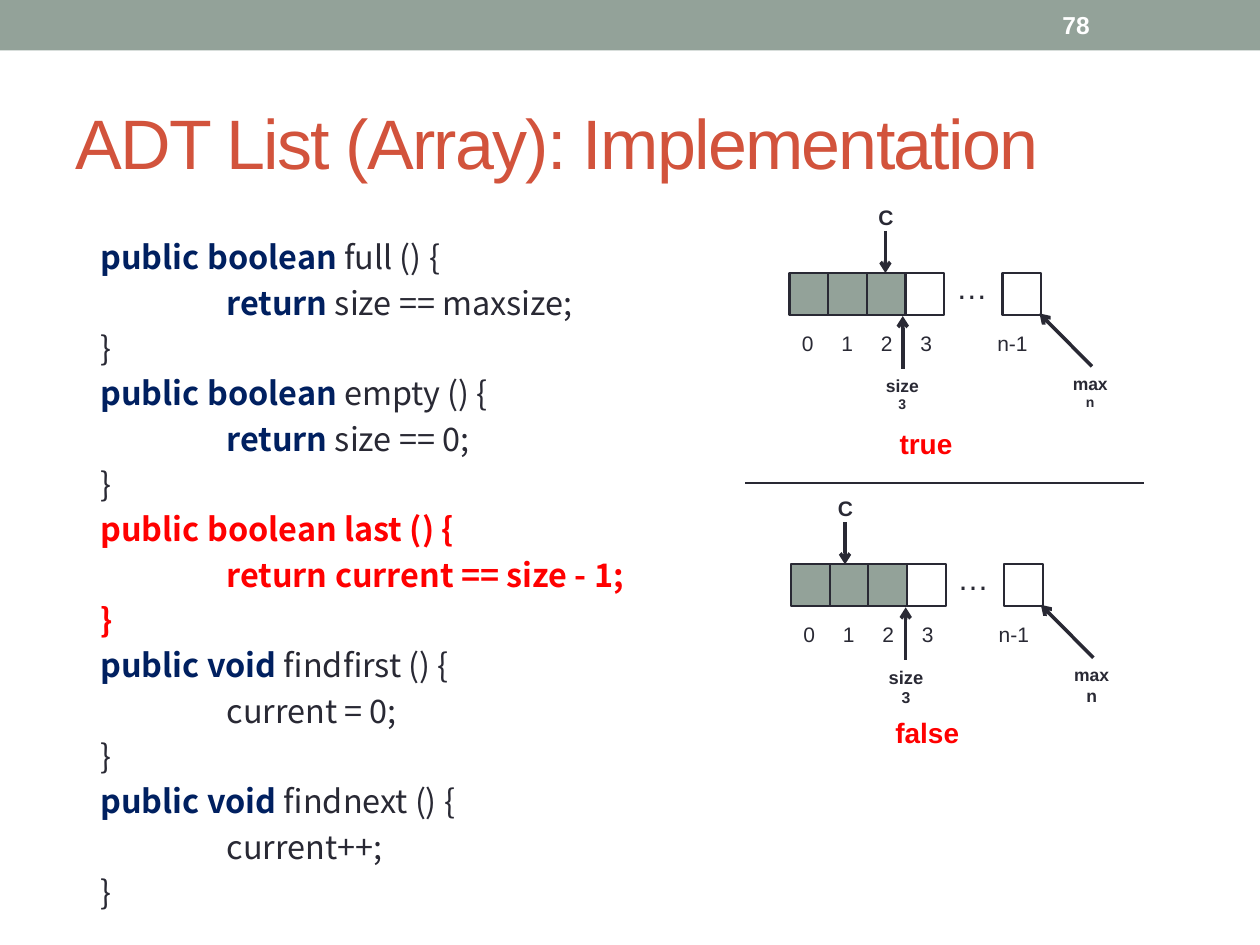
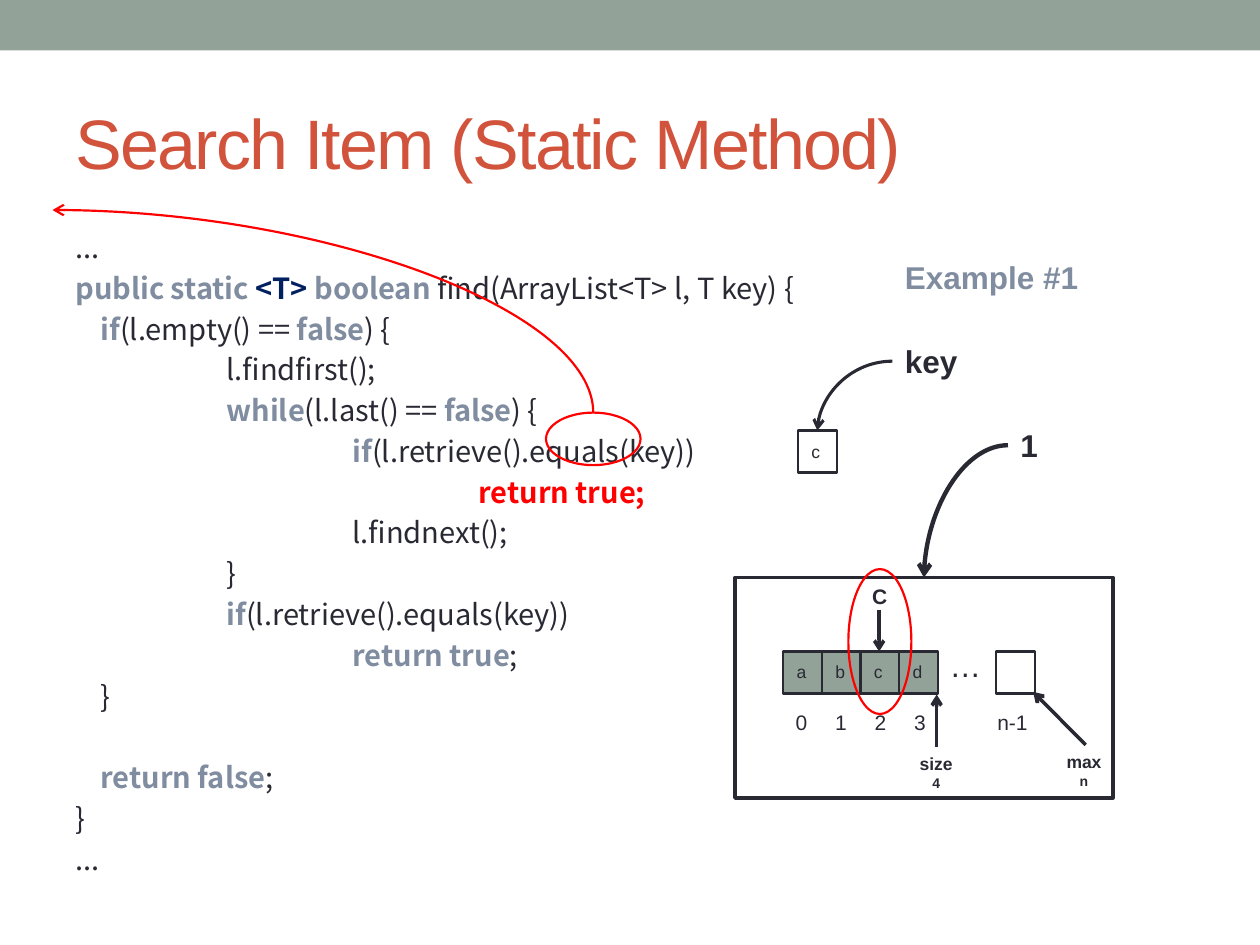
"""Build two lecture slides on array lists: their implementation and a search method."""
from dataclasses import dataclass
from functools import partial
from typing import NamedTuple

from lxml import etree
from pptx import Presentation
from pptx import util as u
from pptx.dml.color import RGBColor
from pptx.enum import shapes, text
from pptx.oxml import ns

SAGE = RGBColor(0x93, 0xA2, 0x99)
INK = RGBColor(0x29, 0x29, 0x34)
RUST = RGBColor(0xD2, 0x53, 0x3C)
NAVY = RGBColor(0x00, 0x20, 0x60)
SLATE = RGBColor(0x80, 0x8D, 0xA0)
RED = RGBColor(0xFF, 0x00, 0x00)
WHITE = RGBColor(0xFF, 0xFF, 0xFF)

SLIDE_WIDTH, SLIDE_HEIGHT = u.Inches(10), u.Inches(7.5)
COLUMN, ROW = SLIDE_WIDTH / 120, SLIDE_HEIGHT / 90
CELL_STEP, CELL_WIDTH, CELL_HEIGHT = 3.68, 3.7, 4
LABEL_STEP = 3.76
DISPLAY_FONT, CODE_FONT = "Arial", "Noto Sans CJK SC"
RECTANGLE, ELLIPSE = shapes.MSO_SHAPE.RECTANGLE, shapes.MSO_SHAPE.OVAL
STRAIGHT, CURVE = shapes.MSO_CONNECTOR.STRAIGHT, shapes.MSO_CONNECTOR.CURVE


class Area(NamedTuple):
    """A rectangle in grid columns and rows."""
    left: float
    top: float
    width: float
    height: float


class Run(NamedTuple):
    """A stretch of text in one format."""
    text: str
    color: RGBColor = INK
    bold: bool = False
    size: float = 12


class CodeLine(NamedTuple):
    """A line of code with its nesting depth and the lines skipped above it."""
    depth: int
    runs: list[Run]
    skipped: int = 0


@dataclass
class ArrayDiagram:
    """An array with its cursor, size and capacity; markers count in cells."""
    left: float
    top: float
    used: int
    cursor: float
    size_mark: float
    size_points: tuple[float, float] = (10, 8)
    max_points: tuple[float, float] = (10, 8)
    last_index: float = 18.6
    items: str = ""


plain = Run
key = partial(Run, color=NAVY, bold=True)
soft = partial(Run, color=SLATE, bold=True)
hot = partial(Run, color=RED, bold=True)

IMPLEMENTATION = [
    CodeLine(1, [key("public boolean "), plain("full () {")]),
    CodeLine(2, [key("return"), plain(" size == maxsize;")]),
    CodeLine(1, [plain("}")]),
    CodeLine(1, [key("public boolean "), plain("empty () {")]),
    CodeLine(2, [key("return"), plain(" size == 0;")]),
    CodeLine(1, [plain("}")]),
    CodeLine(1, [hot("public boolean last () {")]),
    CodeLine(2, [hot("return current == size - 1;")]),
    CodeLine(1, [hot("}")]),
    CodeLine(1, [key("public void "), plain("findfirst () {")]),
    CodeLine(2, [plain("current = 0;")]),
    CodeLine(1, [plain("}")]),
    CodeLine(1, [key("public void "), plain("findnext () {")]),
    CodeLine(2, [plain("current++;")]),
    CodeLine(1, [plain("}")]),
]
SEARCH = [
    CodeLine(0, [plain("...")]),
    CodeLine(0, [soft("public static "), key("<T> "), soft("boolean "),
                 plain("find(ArrayList<T> l, T key) {")]),
    CodeLine(1, [soft("if"), plain("(l.empty() == "), soft("false"), plain(") {")]),
    CodeLine(2, [plain("l.findfirst();")]),
    CodeLine(2, [soft("while"), plain("(l.last() == "), soft("false"), plain(") {")]),
    CodeLine(3, [soft("if"), plain("(l.retrieve().equals(key))")]),
    CodeLine(4, [hot("return true;")]),
    CodeLine(3, [plain("l.findnext();")]),
    CodeLine(2, [plain("}")]),
    CodeLine(2, [soft("if"), plain("(l.retrieve().equals(key))")]),
    CodeLine(3, [soft("return true"), plain(";")]),
    CodeLine(1, [plain("}")]),
    CodeLine(1, [soft("return false"), plain(";")], skipped=1),
    CodeLine(0, [plain("}")]),
    CodeLine(0, [plain("...")]),
]


def place(area: Area) -> tuple[int, int, int, int]:
    """Turn grid units into slide lengths."""
    return (round(area.left * COLUMN), round(area.top * ROW),
            round(area.width * COLUMN), round(area.height * ROW))


def add_run(paragraph, run: Run, font_name: str, size: float):
    """Append one formatted run."""
    piece = paragraph.add_run()
    piece.text = run.text
    for attribute, value in {"name": font_name, "size": u.Pt(size), "bold": run.bold}.items():
        setattr(piece.font, attribute, value)
    piece.font.color.rgb = run.color
    return piece


def add_frame(slide, area: Area, wrap: bool = False, anchor=text.MSO_ANCHOR.TOP):
    """Add an empty text box and give back its text frame."""
    frame = slide.shapes.add_textbox(*place(area)).text_frame
    for attribute, value in {"word_wrap": wrap, "vertical_anchor": anchor}.items():
        setattr(frame, attribute, value)
    return frame


def add_label(slide, area: Area, *lines: Run) -> None:
    """Write a label; lines after the first are centred."""
    frame = add_frame(slide, area)
    for number, line in enumerate(lines):
        paragraph = frame.add_paragraph() if number else frame.paragraphs[0]
        if number:
            paragraph.alignment = text.PP_ALIGN.CENTER
        add_run(paragraph, line, DISPLAY_FONT, line.size)


def add_outline(slide, area: Area, kind=RECTANGLE, fill: RGBColor | None = None,
                line: RGBColor | None = INK, weight: float = 1.25) -> None:
    """Draw a preset shape with optional fill and line."""
    outline = slide.shapes.add_shape(kind, *place(area))
    outline.shadow.inherit = False
    for part, color in ((outline.fill, fill), (outline.line.fill, line)):
        if color is None:
            part.background()
        else:
            part.solid()
            part.fore_color.rgb = color
    if line is not None:
        outline.line.width = u.Pt(weight)


def add_line(slide, start: tuple[float, float], end: tuple[float, float], weight: float = 2,
             color: RGBColor = INK, kind=STRAIGHT, arrow: str = "tailEnd") -> None:
    """Draw a straight line or quarter curve with an arrowhead at the named end."""
    left, top, right, bottom = place(Area(*start, *end))
    line = slide.shapes.add_connector(kind, left, top, right, bottom)
    line.line.color.rgb = color
    line.line.width = u.Pt(weight)
    properties = line._element.spPr
    if kind == CURVE:
        properties.find(ns.qn("a:prstGeom")).set("prst", "curvedConnector2")
    if arrow:
        etree.SubElement(line.line._get_or_add_ln(), ns.qn(f"a:{arrow}"), type="arrow")
    etree.SubElement(properties, ns.qn("a:effectLst"))


def add_code(slide, lines: list[CodeLine], top: float, size: float, pitch: float) -> None:
    """Write code with one even line pitch and indents for nesting."""
    frame = add_frame(slide, Area(6, top, 108, 64), wrap=True)
    for number, line in enumerate(lines):
        paragraph = frame.add_paragraph() if number else frame.paragraphs[0]
        indent = u.Inches(line.depth - 0.8) if line.depth else 0
        paragraph._p.get_or_add_pPr().set("marL", str(indent))
        paragraph.line_spacing = u.Pt(pitch)
        if line.skipped:
            paragraph.space_before = u.Pt(pitch * line.skipped)
        for run in line.runs:
            add_run(paragraph, run, CODE_FONT, size)


def add_array(slide, array: ArrayDiagram) -> None:
    """Draw an array diagram from its top left cell."""
    def at(x: float, y: float, width: float, height: float) -> Area:
        return Area(array.left + x, array.top + y, width, height)

    def arrow(x: float, y: float, to_x: float, to_y: float) -> None:
        add_line(slide, (array.left + x, array.top + y), (array.left + to_x, array.top + to_y))

    for index in range(4):
        add_outline(slide, at(index * CELL_STEP, 0, CELL_WIDTH, CELL_HEIGHT),
                    fill=SAGE if index < array.used else WHITE)
        add_label(slide, at(index * LABEL_STEP, 4.9, 3.7, 3.6), Run(str(index)))
    add_outline(slide, at(20.28, 0, CELL_WIDTH, CELL_HEIGHT), fill=WHITE)
    add_label(slide, at(14.67, -1.1, 5.4, 4.8), Run("…", size=18))
    add_label(slide, at(array.last_index, 4.9, 6.4, 3.6), Run("n-1"))
    for index, item in enumerate(array.items):
        add_label(slide, at(index * CELL_STEP + 0.1, 0.3, 3.4, 3.2), Run(item, size=10))

    cursor, size_mark = array.cursor * CELL_STEP, array.size_mark * CELL_STEP
    arrow(cursor, -4, cursor, 0)
    add_label(slide, at(cursor - 1.85, -7.1, 3.8, 3.6), Run("C", bold=True))
    arrow(size_mark, 9.1, size_mark, 4.1)
    arrow(28.8, 8.9, 23.8, 3.85)
    for area, words, points in (
            (at(size_mark - 2.8, 9.1, 5.7, 4.8), ("size", str(array.used)), array.size_points),
            (at(25.8, 8.9, 6, 4.8), ("max", "n"), array.max_points)):
        add_label(slide, area, *(Run(word, INK, True, size) for word, size in zip(words, points)))


def add_slide(deck, title: str):
    """Add a blank slide with the top band and the title."""
    slide = deck.slides.add_slide(deck.slide_layouts[6])
    add_outline(slide, Area(0, 0, 120, 4.8), fill=SAGE, line=None)
    frame = add_frame(slide, Area(6, 7, 108, 13), wrap=True, anchor=text.MSO_ANCHOR.MIDDLE)
    heading = add_run(frame.paragraphs[0], Run(title, RUST), DISPLAY_FONT, 40)
    heading.font._element.set("spc", "-100")
    return slide


def build_implementation(deck) -> None:
    """Build the slide with the list methods and two example arrays."""
    slide = add_slide(deck, "ADT List (Array): Implementation")
    number = add_frame(slide, Area(100, 0.2, 14, 4.4), anchor=text.MSO_ANCHOR.MIDDLE)
    add_run(number.paragraphs[0], Run("78", WHITE, True), DISPLAY_FONT, 14)
    add_code(slide, IMPLEMENTATION, top=21.4, size=18.5, pitch=25.9)
    add_array(slide, ArrayDiagram(75.2, 26, used=3, cursor=2.48, size_mark=2.93))
    add_array(slide, ArrayDiagram(75.33, 53.75, used=3, cursor=1.4, size_mark=2.97,
                                  size_points=(10.5, 9), max_points=(10, 10)))
    add_label(slide, Area(84.5, 40, 7.7, 4.4), Run("true", RED, True, 16))
    add_label(slide, Area(84.1, 67.6, 8.5, 4.4), Run("false", RED, True, 16))
    add_line(slide, (71, 46), (109, 46), weight=0.75, arrow="")


def build_search(deck) -> None:
    """Build the slide with the search method and its first example."""
    slide = add_slide(deck, "Search Item (Static Method)")
    add_code(slide, SEARCH, top=20.7, size=16.6, pitch=23.3)
    add_array(slide, ArrayDiagram(74.6, 62.05, used=4, cursor=2.48, size_mark=3.97,
                                  last_index=19.2, items="abcd"))
    add_outline(slide, Area(70, 55, 36, 21), weight=2)
    add_outline(slide, Area(76, 41, CELL_WIDTH, CELL_HEIGHT))
    add_label(slide, Area(76.1, 41.4, 3.4, 3.2), Run("c", size=10))
    for area, run in ((Area(85, 24, 19.7, 4.8), Run("Example #1", SLATE, True, 18)),
                      (Area(85, 32, 7.4, 4.8), Run("key", INK, True, 18)),
                      (Area(96, 40, 4.3, 4.8), Run("1", INK, True, 18))):
        add_label(slide, area, run)
    add_line(slide, (96, 42.4), (88, 55), weight=2.5, kind=CURVE)
    add_line(slide, (85, 34.4), (77.85, 41), weight=1.75, kind=CURVE)
    add_line(slide, (5, 20), (56.5, 39.3), weight=1.25, color=RED, kind=CURVE, arrow="headEnd")
    for area in (Area(52, 39.3, 9, 5), Area(80.8, 54.2, 6, 13.8)):
        add_outline(slide, area, ELLIPSE, line=RED)


def main() -> None:
    """Build and save the deck."""
    deck = Presentation()
    deck.slide_width, deck.slide_height = SLIDE_WIDTH, SLIDE_HEIGHT
    build_implementation(deck)
    build_search(deck)
    deck.save("out.pptx")


if __name__ == "__main__":
    main()
